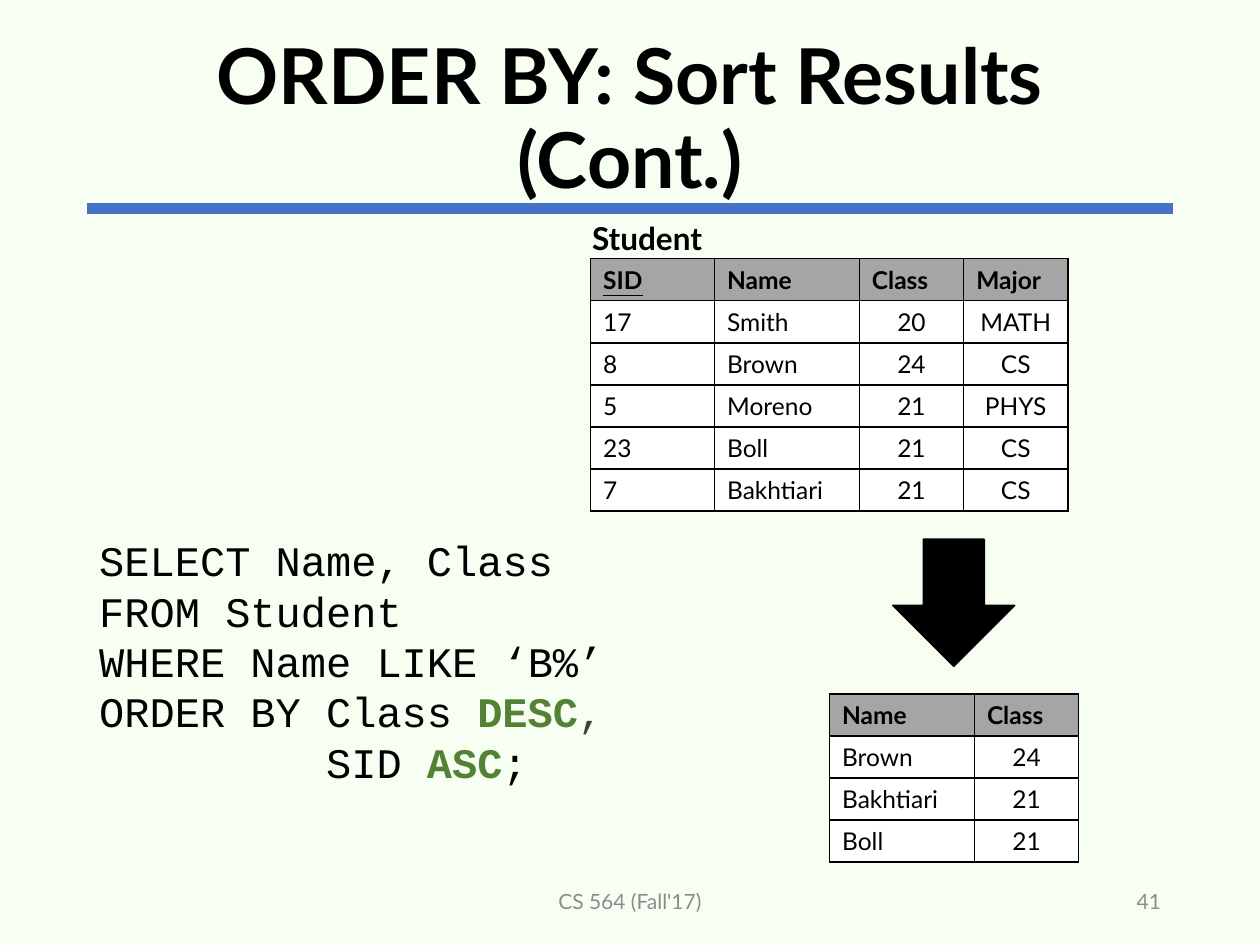
from pptx import Presentation
from pptx.dml.color import RGBColor
from pptx.enum.shapes import MSO_CONNECTOR as Connector, MSO_SHAPE as Shape
from pptx.enum.text import MSO_ANCHOR as Anchor, MSO_AUTO_SIZE as AutoSize, PP_ALIGN as Align
from pptx.oxml import parse_xml
from pptx.oxml.ns import nsdecls
from pptx.util import Pt

# Content
TITLE = "ORDER BY: Sort Results (Cont.)"
FOOTER, PAGE_NUMBER = "CS 564 (Fall'17)", "41"
TABLE_LABEL = "Student"
STUDENTS = [
    ("SID", "Name", "Class", "Major"),
    ("17", "Smith", "20", "MATH"),
    ("8", "Brown", "24", "CS"),
    ("5", "Moreno", "21", "PHYS"),
    ("23", "Boll", "21", "CS"),
    ("7", "Bakhtiari", "21", "CS"),
]
RESULT = [("Name", "Class"), ("Brown", "24"), ("Bakhtiari", "21"), ("Boll", "21")]
QUERY = [  # each line is a list of (text, style)
    [("SELECT Name, Class", "code")],
    [("FROM Student", "code")],
    [("WHERE Name LIKE ‘B%’", "code")],
    [("ORDER BY Class ", "code"), ("DESC", "keyword"), (",", "comma")],
    [("         SID ", "code"), ("ASC", "keyword"), (";", "code")],
]

# Theme and grid
THEME = {
    "font": "Lato", "code_font": "Courier New",
    "title": 44, "query": 24, "label": 18, "cell": 14, "footer": 12,
    "background": "F7FFF3", "rule": "4472C4", "text": "000000", "muted": "8C8C8C",
    "header": "A5A5A5", "row": "FFFFFF",
    "code": "000000", "keyword": "548235", "comma": "404040",
}
LEFT, RIGHT = 49.5, 670.5
ROW_HEIGHT = 24
COLUMN_WIDTHS = {"SID": 70.8, "Name": 82.8, "Class": 59.6, "Major": 59.6}
CENTERED = {"Class", "Major"}


def color(name):
    return RGBColor.from_string(THEME[name])


def style(font, size, color_name="text", bold=False, face="font"):
    font.name, font.size, font.bold = THEME[face], Pt(THEME[size]), bold
    font.color.rgb = color(color_name)


def place(shape, left, top, width, height):
    shape.left, shape.top, shape.width, shape.height = map(Pt, (left, top, width, height))


def add_text(slide, text, box, align, size, color_name="text", bold=False, wrap=True):
    shape = slide.shapes.add_textbox(*map(Pt, box))
    frame = shape.text_frame
    frame.text = text
    frame.word_wrap = wrap
    frame.vertical_anchor = Anchor.MIDDLE
    paragraph = frame.paragraphs[0]
    paragraph.alignment = align
    style(paragraph.runs[0].font, size, color_name, bold)


def add_borders(cell):
    properties = cell._tc.get_or_add_tcPr()
    for index, side in enumerate(("lnL", "lnR", "lnT", "lnB")):
        properties.insert(index, parse_xml(
            f'<a:{side} {nsdecls("a")} w="12700"><a:solidFill>'
            f'<a:srgbClr val="{THEME["text"]}"/></a:solidFill></a:{side}>'))


def add_grid(slide, rows, left, top):
    header = rows[0]
    widths = [COLUMN_WIDTHS[name] for name in header]
    table = slide.shapes.add_table(
        len(rows), len(header), Pt(left), Pt(top),
        Pt(sum(widths)), Pt(ROW_HEIGHT * len(rows))).table
    for column, width in zip(table.columns, widths):
        column.width = Pt(width)
    for row_index, values in enumerate(rows):
        is_header = row_index == 0
        table.rows[row_index].height = Pt(ROW_HEIGHT)
        for column_index, (name, value) in enumerate(zip(header, values)):
            cell = table.cell(row_index, column_index)
            cell.text_frame.text = value
            cell.fill.solid()
            cell.fill.fore_color.rgb = color("header" if is_header else "row")
            add_borders(cell)
            paragraph = cell.text_frame.paragraphs[0]
            centered = name in CENTERED and not is_header
            paragraph.alignment = Align.CENTER if centered else Align.LEFT
            font = paragraph.runs[0].font
            style(font, "cell", bold=is_header)
            font.underline = is_header and name == "SID"


def main():
    presentation = Presentation()
    presentation.slide_width, presentation.slide_height = Pt(720), Pt(540)
    slide = presentation.slides.add_slide(presentation.slide_layouts[1])
    slide.background.fill.solid()
    slide.background.fill.fore_color.rgb = color("background")

    # Title and the rule below it
    rule = slide.shapes.add_connector(Connector.STRAIGHT, Pt(LEFT), Pt(119.3), Pt(RIGHT), Pt(119.3))
    rule.line.color.rgb, rule.line.width = color("rule"), Pt(6)
    rule._element.spPr.append(parse_xml(f'<a:effectLst {nsdecls("a")}/>'))
    title = slide.shapes.title
    place(title, LEFT, 17.3, RIGHT - LEFT, 104.4)
    title.text_frame.text = TITLE
    title.text_frame.auto_size = AutoSize.NONE
    title.text_frame.vertical_anchor = Anchor.MIDDLE
    heading = title.text_frame.paragraphs[0]
    heading.alignment, heading.line_spacing = Align.CENTER, 0.9
    style(heading.runs[0].font, "title", bold=True)

    # Query
    body = slide.placeholders[1]
    place(body, LEFT, 299.5, 432, 162)
    frame = body.text_frame
    frame.auto_size = AutoSize.NONE
    frame.margin_top = Pt(6)
    for index, line in enumerate(QUERY):
        paragraph = frame.paragraphs[0] if index == 0 else frame.add_paragraph()
        properties = paragraph._p.get_or_add_pPr()
        properties.set("marL", "0")
        properties.set("indent", "0")
        properties.append(parse_xml(f'<a:buNone {nsdecls("a")}/>'))
        paragraph.space_before, paragraph.line_spacing = Pt(0), Pt(28.8)
        for text, kind in line:
            run = paragraph.add_run()
            run.text = text
            style(run.font, "query", kind, kind == "keyword", "code_font")

    # Source table, arrow, result table
    add_text(slide, TABLE_LABEL, (331.2, 121.7, 77.8, 28.8), Align.LEFT, "label",
             bold=True, wrap=False)
    add_grid(slide, STUDENTS, 337.5, 147.8)
    arrow = slide.shapes.add_shape(Shape.DOWN_ARROW, Pt(510.3), Pt(308.2), Pt(69.5), Pt(72.5))
    arrow.shadow.inherit = False
    arrow.fill.solid()
    arrow.fill.fore_color.rgb = arrow.line.color.rgb = color("text")
    arrow.line.width = Pt(1)
    add_grid(slide, RESULT, 474, 396.5)

    # Footer
    add_text(slide, FOOTER, (238.5, 500.5, 243, 28.8), Align.CENTER, "footer", "muted")
    add_text(slide, PAGE_NUMBER, (508.5, 500.5, 162, 28.8), Align.RIGHT, "footer", "muted")

    presentation.save("out.pptx")


if __name__ == "__main__":
    main()
